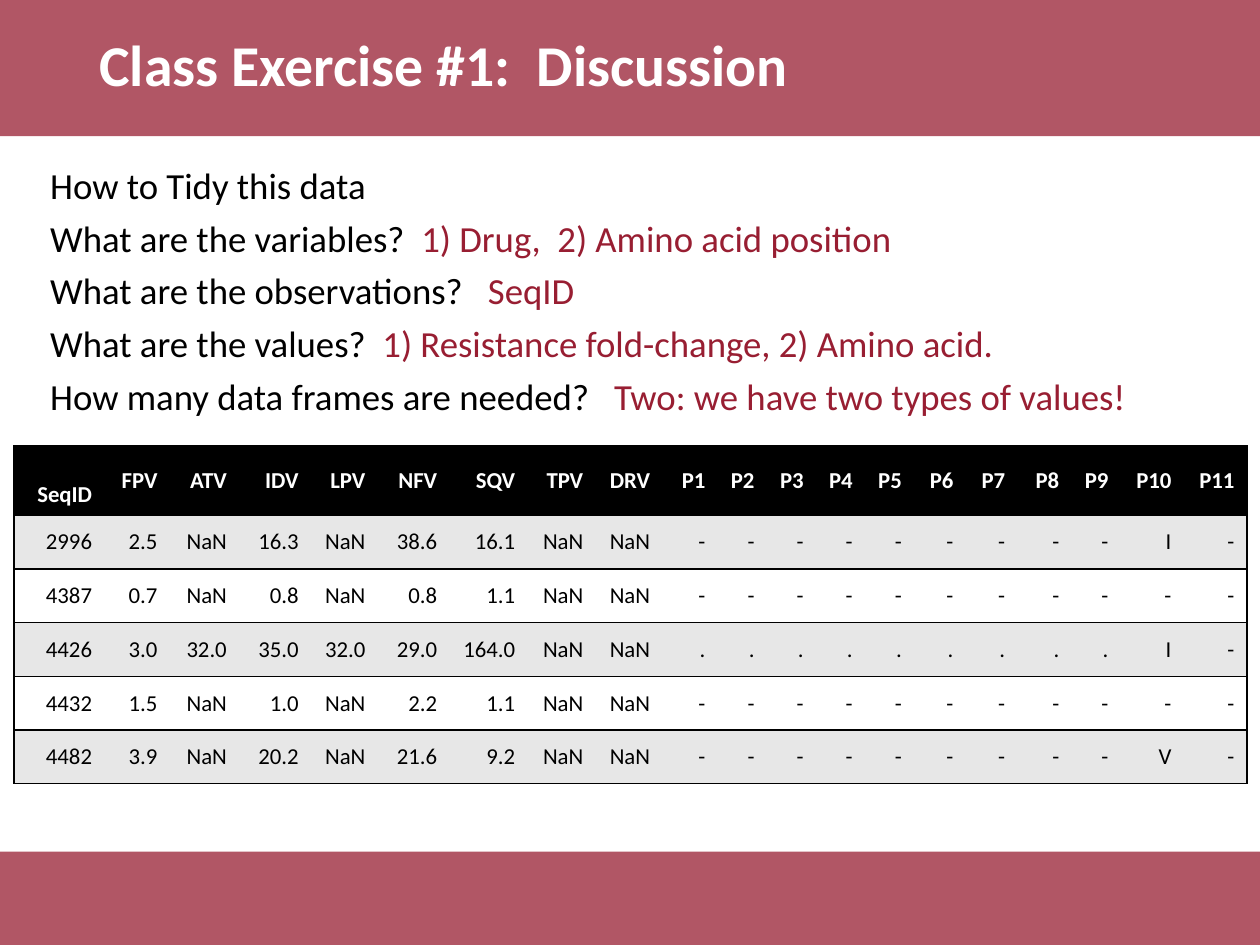
from lxml.etree import SubElement
from pptx import Presentation
from pptx.dml.color import RGBColor
from pptx.enum.shapes import MSO_SHAPE
from pptx.enum.text import MSO_ANCHOR, PP_ALIGN
from pptx.oxml.ns import qn
from pptx.util import Inches, Pt

COLORS = {"crimson": "981E32", "black": "000000", "white": "FFFFFF", "gray": "E7E7E7"}
FONT = "Calibri"
NO_STYLE = "{2D5ABB26-0587-4C30-8999-92F81FD0307C}"

QUESTIONS = [
    ("How to Tidy this data", ""),
    ("What are the variables?  ", "1) Drug,  2) Amino acid position"),
    ("What are the observations?   ", "SeqID"),
    ("What are the values?  ", "1) Resistance fold-change, 2) Amino acid."),
    ("How many data frames are needed?   ", "Two: we have two types of values!"),
]

DRUGS = "FPV ATV IDV LPV NFV SQV TPV DRV".split()
HEADER = ["\vSeqID", *DRUGS, *(f"P{number}" for number in range(1, 12))]
# Sequence and fold-changes, symbol for P1 to P9, then P10 and P11
SEQUENCES = [
    ("2996 2.5 NaN 16.3 NaN 38.6 16.1 NaN NaN", "-", "I-"),
    ("4387 0.7 NaN 0.8 NaN 0.8 1.1 NaN NaN", "-", "--"),
    ("4426 3.0 32.0 35.0 32.0 29.0 164.0 NaN NaN", ".", "I-"),
    ("4432 1.5 NaN 1.0 NaN 2.2 1.1 NaN NaN", "-", "--"),
    ("4482 3.9 NaN 20.2 NaN 21.6 9.2 NaN NaN", "-", "V-"),
]
COLUMN_WIDTHS = [0.72, 0.52, 0.55, 0.57, 0.53, 0.57, 0.62, 0.54, 0.53, 0.44,
                 0.39, 0.39, 0.39, 0.39, 0.41, 0.41, 0.43, 0.39, 0.5, 0.5]
TABLE_HEIGHT = 2.68
HEADER_HEIGHT = 0.55
BODY_HEIGHT = (TABLE_HEIGHT - HEADER_HEIGHT) / len(SEQUENCES)


def color_of(name):
    """Return the named colour."""
    return RGBColor.from_string(COLORS[name])


def format_span(span, size, color, bold=False):
    """Apply the slide's font to a run."""
    for name, value in {"name": FONT, "size": Pt(size), "bold": bold}.items():
        setattr(span.font, name, value)
    span.font.color.rgb = color_of(color)


def add_band(page, top, height):
    """Add a translucent full-width band."""
    band = page.shapes.add_shape(
        MSO_SHAPE.RECTANGLE, 0, Inches(top), Inches(10), Inches(height))
    band.shadow.inherit = False
    band.line.fill.background()
    band.fill.solid()
    band.fill.fore_color.rgb = color_of("crimson")
    fill_color = band.fill._xPr.find(qn("a:solidFill"))[0]
    SubElement(fill_color, qn("a:alpha"), val="75000")


def add_text(page, place, lines, size, bold=False, space=0, anchor=MSO_ANCHOR.TOP):
    """Add a text box whose lines are lists of (text, colour) spans."""
    box = page.shapes.add_textbox(*map(Inches, place))
    frame = box.text_frame
    frame.word_wrap = True
    frame.vertical_anchor = anchor
    for index, spans in enumerate(lines):
        para = frame.add_paragraph() if index else frame.paragraphs[0]
        para.line_spacing = 0.9
        para.space_before = Pt(space)
        for text, color in spans:
            span = para.add_run()
            span.text = text
            format_span(span, size, color, bold)


def add_borders(cell, sides):
    """Draw thin black borders on the given sides (in L, R, T, B order)."""
    properties = cell._tc.get_or_add_tcPr()
    for index, side in enumerate(sides):
        line = SubElement(properties, qn(f"a:ln{side}"), w=str(Pt(1)))
        fill = SubElement(line, qn("a:solidFill"))
        SubElement(fill, qn("a:srgbClr"), val=COLORS["black"])
        properties.insert(index, line)


def fill_cell(cell, text, fill, color, bold):
    """Write one right-aligned table cell."""
    cell.fill.solid()
    cell.fill.fore_color.rgb = color_of(fill)
    cell.vertical_anchor = MSO_ANCHOR.MIDDLE
    para = cell.text_frame.paragraphs[0]
    para.text = text
    para.alignment = PP_ALIGN.RIGHT
    for span in para.runs:
        format_span(span, 13, color, bold)
    for line_break in para._p.findall(qn("a:br")):
        SubElement(line_break, qn("a:rPr"), sz="1300")


def add_data_table(page):
    """Add the table of drug resistance and amino acids."""
    rows = [HEADER] + [values.split() + [symbol] * 9 + list(ending)
                       for values, symbol, ending in SEQUENCES]
    last = len(HEADER) - 1
    frame = page.shapes.add_table(
        len(rows), len(HEADER), Inches(0.11), Inches(3.54),
        Inches(sum(COLUMN_WIDTHS)), Inches(TABLE_HEIGHT))
    table = frame.table
    table._tbl.tblPr.find(qn("a:tableStyleId")).text = NO_STYLE
    for column, width in zip(table.columns, COLUMN_WIDTHS):
        column.width = Inches(width)
    for row_index, values in enumerate(rows):
        is_header = row_index == 0
        table.rows[row_index].height = Inches(HEADER_HEIGHT if is_header else BODY_HEIGHT)
        fill = "black" if is_header else "gray" if row_index % 2 else "white"
        color = "white" if is_header else "black"
        for column_index, text in enumerate(values):
            cell = table.cell(row_index, column_index)
            fill_cell(cell, text, fill, color, is_header)
            outer = {0: "L", last: "R"}.get(column_index, "")
            add_borders(cell, outer + "TB")


def main():
    """Build and save the slide."""
    deck = Presentation()
    deck.slide_width, deck.slide_height = Inches(10), Inches(7.5)
    page = deck.slides.add_slide(deck.slide_layouts[6])
    add_band(page, 6.76, 0.74)
    add_band(page, 0, 1.08)
    add_text(page, (0.69, 0, 8.62, 1.08), [[("Class Exercise #1:  Discussion", "white")]],
             33, bold=True, anchor=MSO_ANCHOR.MIDDLE)
    lines = [[(text, color) for text, color in zip(pair, ("black", "crimson")) if text]
             for pair in QUESTIONS]
    add_text(page, (0.3, 1.28, 9.7, 5.48), lines, 21, space=7.5)
    add_data_table(page)
    deck.save("out.pptx")


main()
